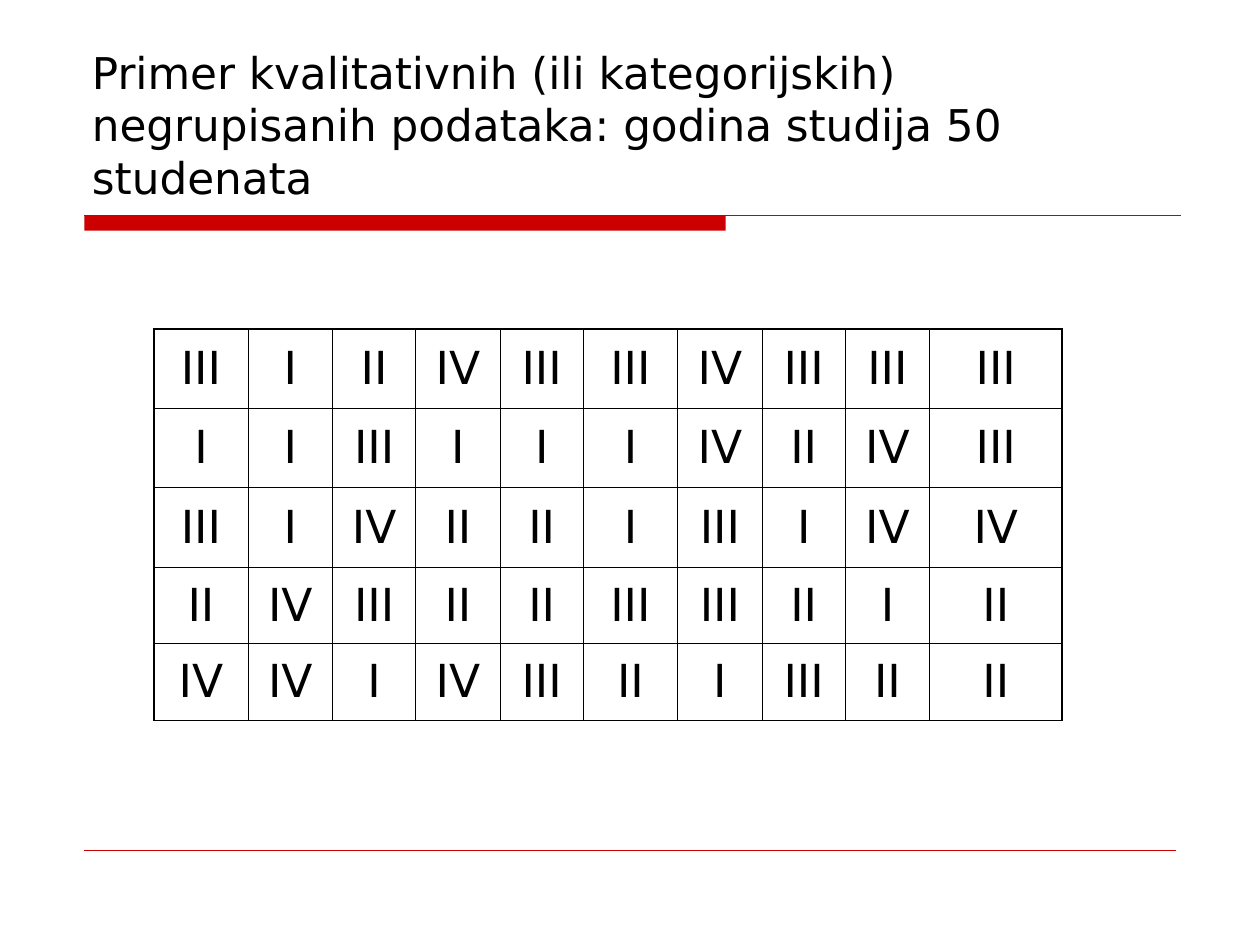
from lxml.etree import SubElement
from pptx import Presentation
from pptx.dml.color import RGBColor
from pptx.enum.shapes import MSO_CONNECTOR, MSO_SHAPE
from pptx.enum.text import MSO_ANCHOR, MSO_AUTO_SIZE, PP_ALIGN
from pptx.oxml.ns import qn
from pptx.util import Inches, Pt

# Content
TITLE = "Primer kvalitativnih (ili kategorijskih) negrupisanih podataka: godina studija 50 studenata"
STUDY_YEARS = [
    "III I II IV III III IV III III III".split(),
    "I I III I I I IV II IV III".split(),
    "III I IV II II I III I IV IV".split(),
    "II IV III II II III III II I II".split(),
    "IV IV I IV III II I III II II".split(),
]

# Look and layout (inches)
COLORS = {"text": "000000", "accent": "CC0000", "border": "000000"}
FONT = "DejaVu Sans"
COLUMN_WIDTHS = [0.75, 0.67, 0.66, 0.67, 0.66, 0.75, 0.67, 0.66, 0.67, 1.05]
ROW_HEIGHTS = [0.63, 0.63, 0.63, 0.61, 0.61]
RULE_LEFT, RULE_TOP = 0.67, 1.71
INNER_BORDER, OUTER_BORDER = 0.45, 1.08


def color(name):
    return RGBColor.from_string(COLORS[name])


def style_paragraph(paragraph, size, alignment):
    paragraph.alignment = alignment
    paragraph.font.name = FONT
    paragraph.font.size = Pt(size)
    paragraph.font.color.rgb = color("text")


def add_rule(slide, top, right, width):
    rule = slide.shapes.add_connector(
        MSO_CONNECTOR.STRAIGHT, Inches(RULE_LEFT), Inches(top), Inches(right), Inches(top))
    rule.line.color.rgb = color("accent")
    rule.line.width = Pt(width)
    SubElement(rule._element.spPr, qn("a:effectLst"))


def set_borders(cell, outer_sides):
    properties = cell._tc.get_or_add_tcPr()
    for side, is_outer in outer_sides.items():
        width = OUTER_BORDER if is_outer else INNER_BORDER
        line = SubElement(properties, qn(f"a:ln{side}"), w=str(Pt(width)))
        fill = SubElement(line, qn("a:solidFill"))
        SubElement(fill, qn("a:srgbClr"), val=COLORS["border"])


def add_year_table(slide):
    row_count, column_count = len(ROW_HEIGHTS), len(COLUMN_WIDTHS)
    table = slide.shapes.add_table(
        row_count, column_count, Inches(1.22), Inches(2.61),
        Inches(sum(COLUMN_WIDTHS)), Inches(sum(ROW_HEIGHTS))).table
    table.first_row = table.horz_banding = False
    for column, width in zip(table.columns, COLUMN_WIDTHS):
        column.width = Inches(width)
    for row, height in zip(table.rows, ROW_HEIGHTS):
        row.height = Inches(height)

    for r, years in enumerate(STUDY_YEARS):
        for c, year in enumerate(years):
            cell = table.cell(r, c)
            cell.text = year
            cell.vertical_anchor = MSO_ANCHOR.MIDDLE
            paragraph = cell.text_frame.paragraphs[0]
            style_paragraph(paragraph, 26, PP_ALIGN.CENTER)
            paragraph.space_before = Pt(6.5)
            set_borders(cell, {"L": c == 0, "R": c == column_count - 1,
                               "T": r == 0, "B": r == row_count - 1})
            cell.fill.background()


def main():
    presentation = Presentation()
    presentation.slide_width, presentation.slide_height = Inches(10), Inches(7.5)
    slide = presentation.slides.add_slide(presentation.slide_layouts[5])

    # Red bar and rules
    bar = slide.shapes.add_shape(
        MSO_SHAPE.RECTANGLE, Inches(RULE_LEFT), Inches(RULE_TOP), Inches(5.09), Inches(0.12))
    bar.shadow.inherit = False
    bar.fill.solid()
    bar.fill.fore_color.rgb = color("accent")
    bar.line.fill.background()
    add_rule(slide, RULE_TOP, 9.37, 0.75)
    add_rule(slide, 6.75, 9.33, 0.25)

    # Title
    title = slide.shapes.title
    title.left, title.top = Inches(0.63), Inches(0.33)
    title.width, title.height = Inches(8.75), Inches(1.33)
    frame = title.text_frame
    frame.text = TITLE
    frame.word_wrap = True
    frame.auto_size = MSO_AUTO_SIZE.NONE
    frame.vertical_anchor = MSO_ANCHOR.BOTTOM
    style_paragraph(frame.paragraphs[0], 25, PP_ALIGN.LEFT)

    add_year_table(slide)
    presentation.save("out.pptx")


if __name__ == "__main__":
    main()
